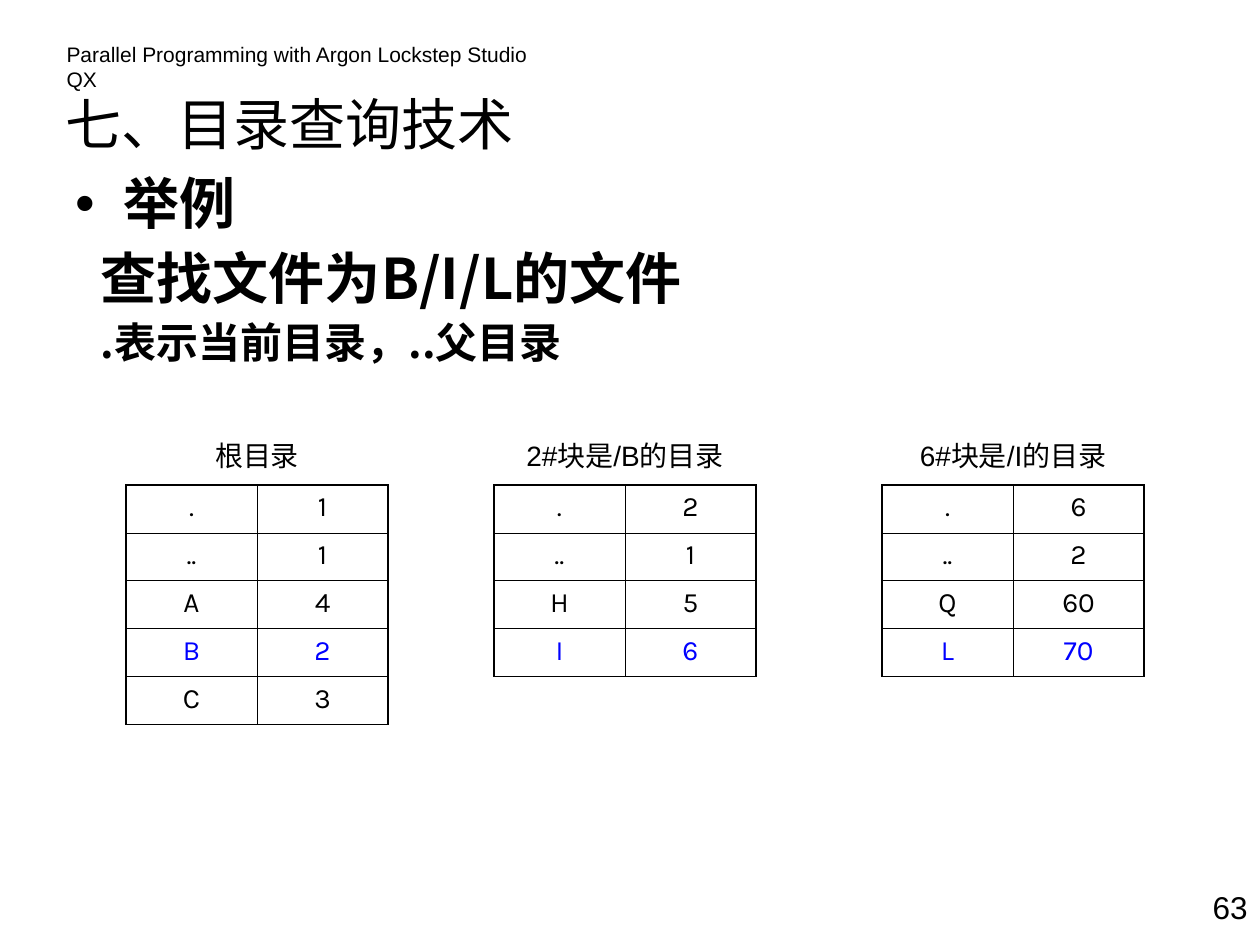
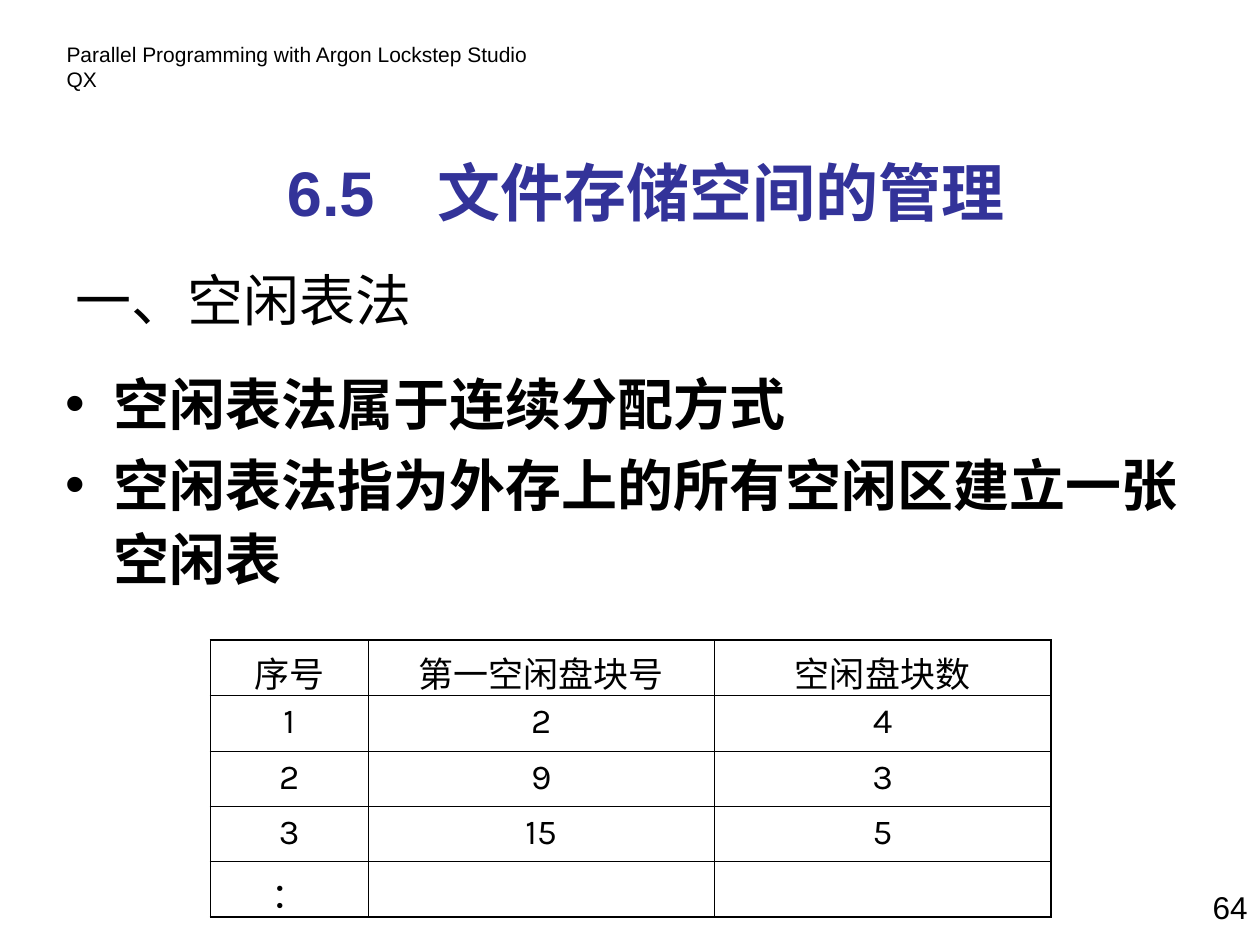
from dataclasses import dataclass
from typing import Any, NamedTuple

from lxml.etree import SubElement
from pptx import Presentation
from pptx.dml.color import RGBColor
from pptx.enum.text import MSO_ANCHOR as Anchor, MSO_AUTO_SIZE as AutoSize, PP_ALIGN as Align
from pptx.oxml.ns import qn
from pptx.util import Inches, Pt


@dataclass(frozen=True)
class Theme:
    black: str = "000000"
    highlight: str = "0000FF"
    chapter: str = "333399"
    sans: str = "Arial"
    cjk: str = "Noto Sans CJK SC"
    table_font: str = "Karla"
    header_size: float = 12
    label_size: float = 16
    number_size: float = 18
    grid_size: float = 20
    note_size: float = 24
    main_size: float = 32
    chapter_size: float = 36
    outer_line: float = 1.08
    inner_line: float = 0.45


THEME = Theme()


class Box(NamedTuple):
    left: float
    top: float
    width: float
    height: float


class Style(NamedTuple):
    size: float
    font: str = THEME.sans
    color: str = THEME.black
    bold: bool = False
    align: Align = Align.LEFT
    before: float = 0
    line: float = 1.0


class Item(NamedTuple):
    text: str
    style: Style
    bullet: bool = True


class Grid(NamedTuple):
    left: float
    top: float
    columns: list[float]
    row_height: float
    rows: list[list[str]]
    style: Style
    highlighted: int | None = None


class Directory(NamedTuple):
    left: float
    label: str
    entries: list[list[str]]
    match: int


# Text styles
HEADER = Style(THEME.header_size)
TITLE = Style(THEME.main_size, THEME.cjk)
CHAPTER = Style(THEME.chapter_size, color=THEME.chapter, bold=True,
                align=Align.CENTER, before=22.5)
NUMBER = Style(THEME.number_size, align=Align.RIGHT, before=11.2)
LABEL = Style(THEME.label_size, align=Align.CENTER, before=10)
ENTRY = Style(THEME.label_size, THEME.table_font, align=Align.CENTER, before=4)
FREE_ENTRY = ENTRY._replace(size=THEME.grid_size, before=5)
EXAMPLE = Style(THEME.main_size, THEME.cjk, bold=True, before=8, line=0.9)
NOTE = EXAMPLE._replace(size=THEME.note_size, before=6)
POINT = EXAMPLE._replace(before=4, line=1.1)

# Content
HEADER_TEXT = "Parallel Programming with Argon Lockstep Studio QX"
DIRECTORY_TOP, DIRECTORY_COLUMNS = 3.85, [1.04, 1.04]
DIRECTORIES = [
    Directory(1, "根目录",
              [[".", "1"], ["..", "1"], ["A", "4"], ["B", "2"], ["C", "3"]], 3),
    Directory(3.92, "2#块是/B的目录",
              [[".", "2"], ["..", "1"], ["H", "5"], ["I", "6"]], 3),
    Directory(7, "6#块是/I的目录",
              [[".", "6"], ["..", "2"], ["Q", "60"], ["L", "70"]], 3),
]
FREE_BLOCKS = Grid(1.67, 5.08, [1.25, 2.75, 2.67], 0.44, [
    ["序号", "第一空闲盘块号", "空闲盘块数"],
    ["1", "2", "4"],
    ["2", "9", "3"],
    ["3", "15", "5"],
    ["：", "", ""],
], FREE_ENTRY)


def apply(target: Any, values: dict[str, Any]) -> None:
    for name, value in values.items():
        setattr(target, name, value)


def write(paragraph: Any, text: str, style: Style) -> None:
    apply(paragraph, {"alignment": style.align, "space_before": Pt(style.before),
                      "line_spacing": style.line})
    if not text:
        return
    run = paragraph.add_run()
    run.text = text
    apply(run.font, {"size": Pt(style.size), "name": style.font, "bold": style.bold})
    run.font.color.rgb = RGBColor.from_string(style.color)
    SubElement(run._r.get_or_add_rPr(), qn("a:ea"), typeface=THEME.cjk)


def place(shape: Any, box: Box) -> None:
    apply(shape, {side: Inches(value) for side, value in box._asdict().items()})


def add_text(slide: Any, box: Box, text: str, style: Style) -> Any:
    caption = slide.shapes.add_textbox(*map(Inches, box))
    apply(caption.text_frame, {"word_wrap": True, "auto_size": AutoSize.SHAPE_TO_FIT_TEXT})
    write(caption.text_frame.paragraphs[0], text, style)
    return caption


def set_title(slide: Any, box: Box, text: str) -> None:
    title = slide.shapes.title
    place(title, box)
    apply(title.text_frame, {"vertical_anchor": Anchor.MIDDLE, "auto_size": AutoSize.NONE})
    write(title.text_frame.paragraphs[0], text, TITLE)


def set_body(slide: Any, box: Box, items: list[Item]) -> None:
    body = slide.placeholders[1]
    place(body, box)
    frame = body.text_frame
    apply(frame, {"vertical_anchor": Anchor.TOP, "auto_size": AutoSize.NONE})
    for index, item in enumerate(items):
        paragraph = frame.add_paragraph() if index else frame.paragraphs[0]
        write(paragraph, item.text, item.style)
        layout = paragraph._p.get_or_add_pPr()
        margin, indent = (0.38, -0.38) if item.bullet else (0.2, 0)
        layout.set("marL", str(Inches(margin)))
        layout.set("indent", str(Inches(indent)))
        if item.bullet:
            tint = SubElement(layout, qn("a:buClr"))
            SubElement(tint, qn("a:srgbClr"), val=THEME.black)
            SubElement(layout, qn("a:buFont"), typeface=THEME.sans)
            SubElement(layout, qn("a:buChar"), char="•")
        else:
            SubElement(layout, qn("a:buNone"))


def set_borders(cell: Any, outer: dict[str, bool]) -> None:
    properties = cell._tc.get_or_add_tcPr()
    for side, is_outer in outer.items():
        width = Pt(THEME.outer_line if is_outer else THEME.inner_line)
        line = SubElement(properties, qn(f"a:ln{side}"), w=str(width))
        fill = SubElement(line, qn("a:solidFill"))
        SubElement(fill, qn("a:srgbClr"), val=THEME.black)


def add_grid(slide: Any, grid: Grid) -> None:
    row_count, column_count = len(grid.rows), len(grid.columns)
    table = slide.shapes.add_table(
        row_count, column_count, Inches(grid.left), Inches(grid.top),
        Inches(sum(grid.columns)), Inches(grid.row_height * row_count)).table
    apply(table, {"first_row": False, "horz_banding": False})
    for column, width in zip(table.columns, grid.columns):
        column.width = Inches(width)
    for r, values in enumerate(grid.rows):
        table.rows[r].height = Inches(grid.row_height)
        color = THEME.highlight if r == grid.highlighted else THEME.black
        for c, value in enumerate(values):
            cell = table.cell(r, c)
            write(cell.text_frame.paragraphs[0], value, grid.style._replace(color=color))
            set_borders(cell, {"L": c == 0, "R": c == column_count - 1,
                               "T": r == 0, "B": r == row_count - 1})
            cell.fill.background()


def add_page(deck: Any, number: int) -> Any:
    slide = deck.slides.add_slide(deck.slide_layouts[1])
    add_text(slide, Box(9.33, 7, 0.67, 0.4), str(number), NUMBER)
    return slide


def share_header(slide: Any) -> None:
    """Move the running header to the layout, so every slide shows it."""
    header = add_text(slide, Box(0.43, 0.28, 4.1, 0.3), HEADER_TEXT, HEADER).element
    header.xpath("./p:nvSpPr/p:cNvPr")[0].set("id", "100")
    slide.slide_layout.shapes.element.append(header)


def build_lookup(slide: Any) -> None:
    set_title(slide, Box(0.42, 0.6, 5.67, 0.75), "七、目录查询技术")
    set_body(slide, Box(0.5, 1.35, 9.33, 1.75), [
        Item("举例", EXAMPLE),
        Item("查找文件为B/I/L的文件", EXAMPLE, bullet=False),
        Item(".表示当前目录，..父目录", NOTE, bullet=False),
    ])
    for directory in DIRECTORIES:
        add_grid(slide, Grid(directory.left, DIRECTORY_TOP, DIRECTORY_COLUMNS, 0.38,
                             directory.entries, ENTRY, directory.match))
        label_box = Box(directory.left, DIRECTORY_TOP - 0.42, sum(DIRECTORY_COLUMNS), 0.37)
        add_text(slide, label_box, directory.label, LABEL)


def build_free_space(slide: Any) -> None:
    set_title(slide, Box(0.5, 2, 5.08, 0.75), "一、空闲表法")
    add_text(slide, Box(0.5, 1.17, 9.25, 0.7), "6.5　文件存储空间的管理", CHAPTER)
    set_body(slide, Box(0.42, 2.83, 9.33, 4.5), [
        Item("空闲表法属于连续分配方式", POINT),
        Item("空闲表法指为外存上的所有空闲区建立一张空闲表", POINT),
    ])
    add_grid(slide, FREE_BLOCKS)


def main() -> None:
    deck = Presentation()
    apply(deck, {"slide_width": Inches(10), "slide_height": Inches(7.5)})
    for number, build in enumerate([build_lookup, build_free_space], start=63):
        build(add_page(deck, number))
    share_header(deck.slides[0])
    deck.save("out.pptx")


if __name__ == "__main__":
    main()
